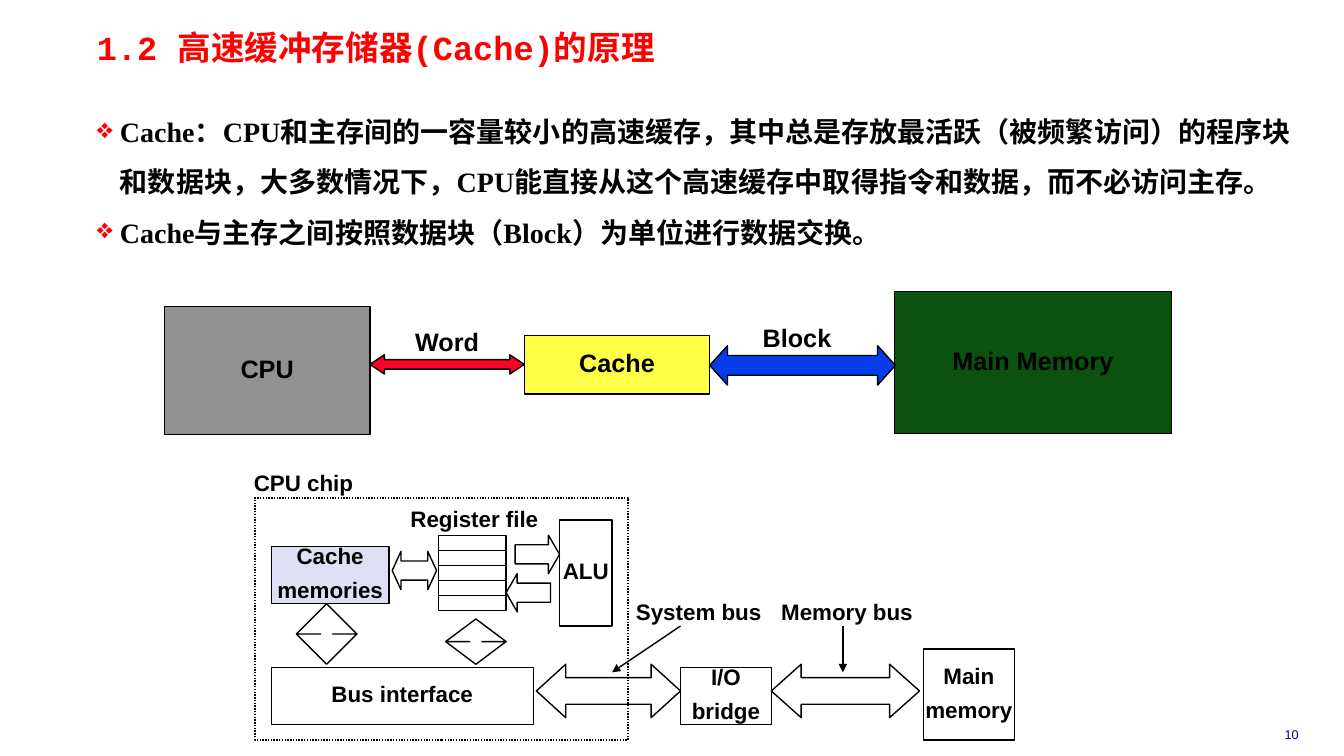
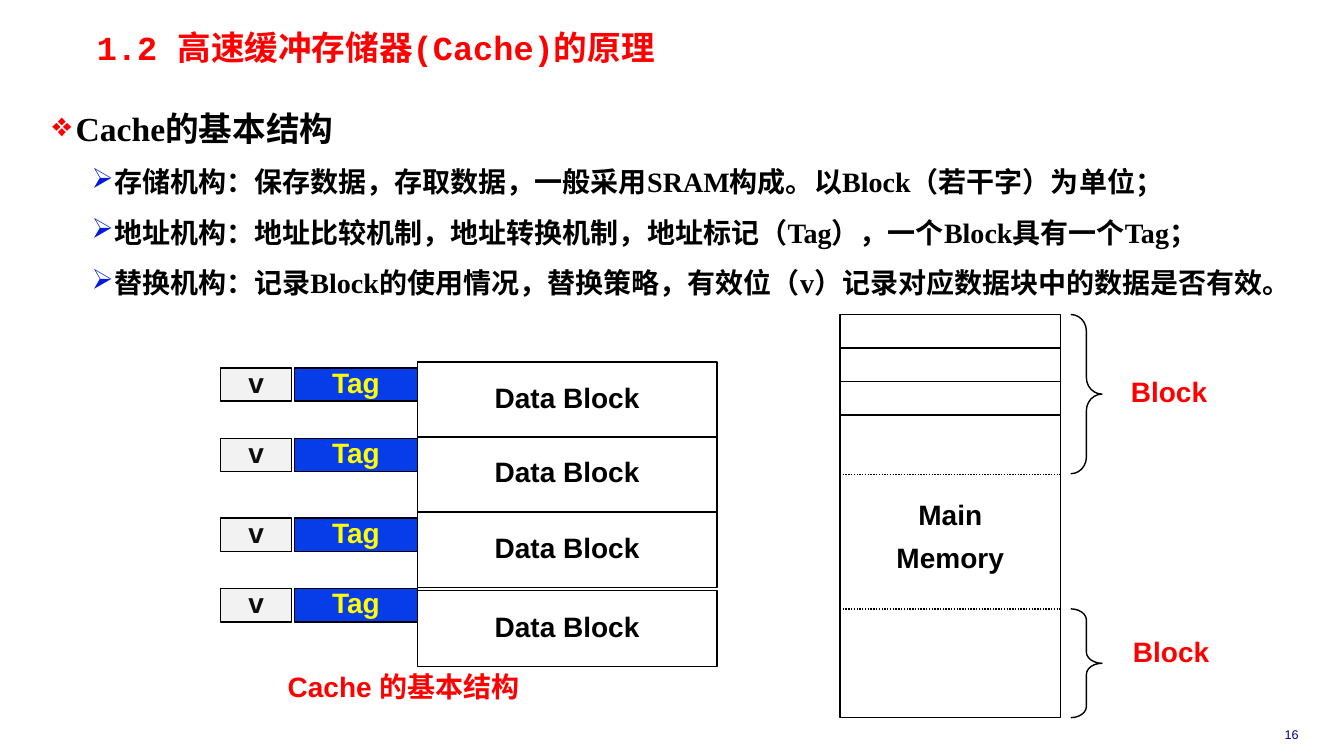
from lxml.etree import SubElement
from pptx import Presentation
from pptx.dml.color import RGBColor
from pptx.enum.dml import MSO_LINE
from pptx.enum.shapes import MSO_CONNECTOR, MSO_SHAPE
from pptx.enum.text import MSO_ANCHOR, PP_ALIGN
from pptx.oxml.ns import qn
from pptx.util import Inches, Pt

COLORS = {
    "black": "000000", "red": "FF0000", "number": "000099", "arrow": "001ADC",
    "gray": "919191", "yellow": "FFFF49", "green": "0A520D", "scarlet": "FC0128",
    "blue": "063DE8", "lilac": "DEDFF5", "pale": "F2F2F2", "ink": "0D0D0D",
    "tag": "FFFF00",
}
CELL = Inches(0.1)  # the slide is a grid of 133.3 columns by 75 rows
TITLE = "1.2 高速缓冲存储器(Cache)的原理"
# bullet sign, its colour, left margin and hanging indent in cells
BULLETS = [("❖", "red", 2.3, -2.3), ("➢", "arrow", 5.5, -1.6)]

deck = Presentation()
deck.slide_width, deck.slide_height = Inches(13.33), Inches(7.5)


def put(page, kind, cells, text="", size=16, color="black", fill=None, adjust=(),
        font="Arial", bold=True, align=PP_ALIGN.CENTER, spacing=0.85, wrap=False,
        dash=None):
    """Place a preset shape, or a text box if kind is None, on the grid."""
    place = [round(cell * CELL) for cell in cells]
    if kind is None:
        box = page.shapes.add_textbox(*place)
    else:
        box = page.shapes.add_shape(kind, *place)
        box.shadow.inherit = False
        box.line.color.rgb = RGBColor.from_string(COLORS["black"])
        box.line.width = Pt(1)
        box.line.dash_style = dash
        if fill:
            box.fill.solid()
            box.fill.fore_color.rgb = RGBColor.from_string(COLORS[fill])
        else:
            box.fill.background()
        for index, value in enumerate(adjust):
            box.adjustments[index] = value
    if not text:
        return box
    frame = box.text_frame
    frame.word_wrap = wrap
    frame.vertical_anchor = MSO_ANCHOR.MIDDLE
    frame.margin_left = frame.margin_right = Inches(0.07)
    frame.margin_top = frame.margin_bottom = Inches(0.03)
    frame.text = text
    for index, para in enumerate(frame.paragraphs):
        para.alignment = align
        para.line_spacing = spacing
        if index and not wrap:
            para.space_before = Pt(size / 2)
        for span in para.runs:
            span.font.name, span.font.size, span.font.bold = font, Pt(size), bold
            span.font.color.rgb = RGBColor.from_string(COLORS[color])
    return box


def connect(page, x1, y1, x2, y2, dotted=False):
    """Draw a dotted line, or else an arrow, between two grid points."""
    line = page.shapes.add_connector(
        MSO_CONNECTOR.STRAIGHT, *[round(cell * CELL) for cell in (x1, y1, x2, y2)])
    line.line.color.rgb = RGBColor.from_string(COLORS["black"])
    line.line.width = Pt(1)
    if dotted:
        line.line.dash_style = MSO_LINE.ROUND_DOT
    else:
        SubElement(line.line._get_or_add_ln(), qn("a:tailEnd"), type="triangle")
    SubElement(line._element.spPr, qn("a:effectLst"))


# What the slides share: page number, title and bulleted body
contents = [
    ("10", (8.9, 9.4, 120, 15.7), [
        (0, 20, "Cache：CPU和主存间的一容量较小的高速缓存，其中总是存放最活跃（被频繁访问）的程序块和数据块，"
                "大多数情况下，CPU能直接从这个高速缓存中取得指令和数据，而不必访问主存。"),
        (0, 20, "Cache与主存之间按照数据块（Block）为单位进行数据交换。"),
    ]),
    ("16", (4.5, 8.4, 126, 26.2), [
        (0, 24, "Cache的基本结构"),
        (1, 20, "存储机构：保存数据，存取数据，一般采用SRAM构成。以Block（若干字）为单位；"),
        (1, 20, "地址机构：地址比较机制，地址转换机制，地址标记（Tag），一个Block具有一个Tag；"),
        (1, 20, "替换机构：记录Block的使用情况，替换策略，有效位（v）记录对应数据块中的数据是否有效。"),
    ]),
]
pages = []
for number, body_cells, items in contents:
    page = deck.slides.add_slide(deck.slide_layouts[6])
    pages.append(page)
    put(page, None, (123.4, 71.7, 9.4, 2.5), number, 9, "number", bold=False)
    put(page, None, (8.9, 2.9, 76.7, 4.1), TITLE, 24, "red", font="Courier New",
        align=PP_ALIGN.LEFT, spacing=0.87, wrap=True)
    body = put(page, None, body_cells, "\n".join(text for _, _, text in items), 20,
               font="Times New Roman", align=PP_ALIGN.LEFT, spacing=1.5, wrap=True)
    body.text_frame.vertical_anchor = MSO_ANCHOR.TOP
    for para, (level, size, _) in zip(body.text_frame.paragraphs, items):
        sign, sign_color, margin, indent = BULLETS[level]
        para.level = level
        properties = para._p.get_or_add_pPr()
        properties.set("marL", str(round(margin * CELL)))
        properties.set("indent", str(round(indent * CELL)))
        bullet_color = SubElement(properties, qn("a:buClr"))
        SubElement(bullet_color, qn("a:srgbClr"), val=COLORS[sign_color])
        SubElement(properties, qn("a:buChar"), char=sign)
        for span in para.runs:
            span.font.size = Pt(size)

principle, structure = pages
RECT, BOTH_WAYS = MSO_SHAPE.RECTANGLE, MSO_SHAPE.LEFT_RIGHT_ARROW
UP_DOWN = MSO_SHAPE.UP_DOWN_ARROW

# CPU, cache and main memory exchange words and blocks
for cells, text, fill in [
    ((16.3, 30.4, 20.4, 12.7), "CPU", "gray"),
    ((52, 33.3, 18.4, 5.8), "Cache", "yellow"),
    ((88.7, 28.9, 27.5, 14.1), "Main Memory", "green"),
]:
    put(principle, RECT, cells, text, 18, fill=fill)
for cells, fill, head, label_cells, label in [
    ((36.7, 35.2, 15.3, 1.9), "scarlet", 0.75, (36.7, 32.5, 15.3, 3.3), "Word"),
    ((70.4, 34.3, 18.4, 3.9), "blue", 0.45, (70.4, 32.1, 17.3, 3.3), "Block"),
]:
    put(principle, BOTH_WAYS, cells, fill=fill, adjust=(0.5, head))
    put(principle, None, label_cells, label, 18)

# CPU chip with its buses
for cells, text, fill in [
    ((91.6, 64.4, 9, 9), "Main\nmemory", None),
    ((67.5, 66.2, 9, 5.7), "I/O\nbridge", None),
    ((26.9, 66.2, 26, 5.7), "Bus interface", None),
    ((55.5, 51.6, 5.2, 10.5), "ALU", None),
    ((26.9, 54.2, 11.7, 5.7), "Cache\nmemories", "lilac"),
]:
    put(principle, RECT, cells, text, fill=fill)
for row in range(5):
    put(principle, RECT, (43.5, 53.1 + 1.5 * row, 6.7, 1.5))
for kind, cells, head in [
    (BOTH_WAYS, (76.5, 65.9, 14.7, 5.3), 0.56),
    (BOTH_WAYS, (53.2, 65.9, 14.3, 5.3), 0.55),
    (BOTH_WAYS, (38.9, 54.7, 4.4, 3.8), 0.23),
    (MSO_SHAPE.RIGHT_ARROW, (51.1, 53.1, 4.4, 3.8), 0.29),
    (MSO_SHAPE.LEFT_ARROW, (50.2, 56.9, 4.4, 3.8), 0.29),
    (UP_DOWN, (44.2, 61.4, 6, 4.5), 0.2),
    (UP_DOWN, (29.4, 59.9, 6, 6), 0.2),
]:
    put(principle, kind, cells, adjust=(0.5, head))
put(principle, RECT, (25.3, 49.4, 37, 24), dash=MSO_LINE.ROUND_DOT)
for cells, label in [
    ((39.6, 50, 14.9, 3.3), "Register file"),
    ((24.1, 46.4, 12, 3.3), "CPU chip"),
    ((62, 59.2, 14.6, 3.3), "System bus"),
    ((76.4, 59.2, 15.2, 3.3), "Memory bus"),
]:
    put(principle, None, cells, label)
connect(principle, 67.5, 62.1, 60.7, 66.7)
connect(principle, 83.6, 62.1, 83.6, 66.7)

# Cache lines: valid bit, tag and data block
for data_top, tag_top in zip((35.9, 43.3, 50.8, 58.6), (36.5, 43.5, 51.4, 58.4)):
    put(structure, RECT, (41.4, data_top, 29.7, 7.5), "Data Block", 20)
    put(structure, RECT, (29.2, tag_top, 12.2, 3.3), "Tag", 20, "tag", "blue")
    put(structure, RECT, (21.9, tag_top, 7, 3.3), "v", 20, "ink", "pale")
put(structure, None, (20.8, 66.4, 38.5, 3.9), "Cache 的基本结构", 20, "red")

# Main memory divided into blocks
memory_left, memory_width, memory_top, word_height = 83.3, 21.9, 31.2, 3.33
for row in range(3):
    put(structure, RECT,
        (memory_left, memory_top + row * word_height, memory_width, word_height))
put(structure, RECT, (memory_left, 41.2, memory_width, 30))
put(structure, None, (memory_left, 49.2, memory_width, 8.4), "Main\nMemory", 20)
for border in (47.1, 60.4):
    connect(structure, memory_left, border, memory_left + memory_width, border, True)
for top, height, curve, label_left, label_top in [
    (memory_top, 15.8, 0.53, 109.2, 37.1),
    (60.4, 10.8, 0.36, 109.4, 62.9),
]:
    put(structure, MSO_SHAPE.RIGHT_BRACE, (106.2, top, 3.1, height), adjust=(curve, 0.5))
    put(structure, None, (label_left, label_top, 13.5, 3.9), "Block", 20, "red")

deck.save("out.pptx")
